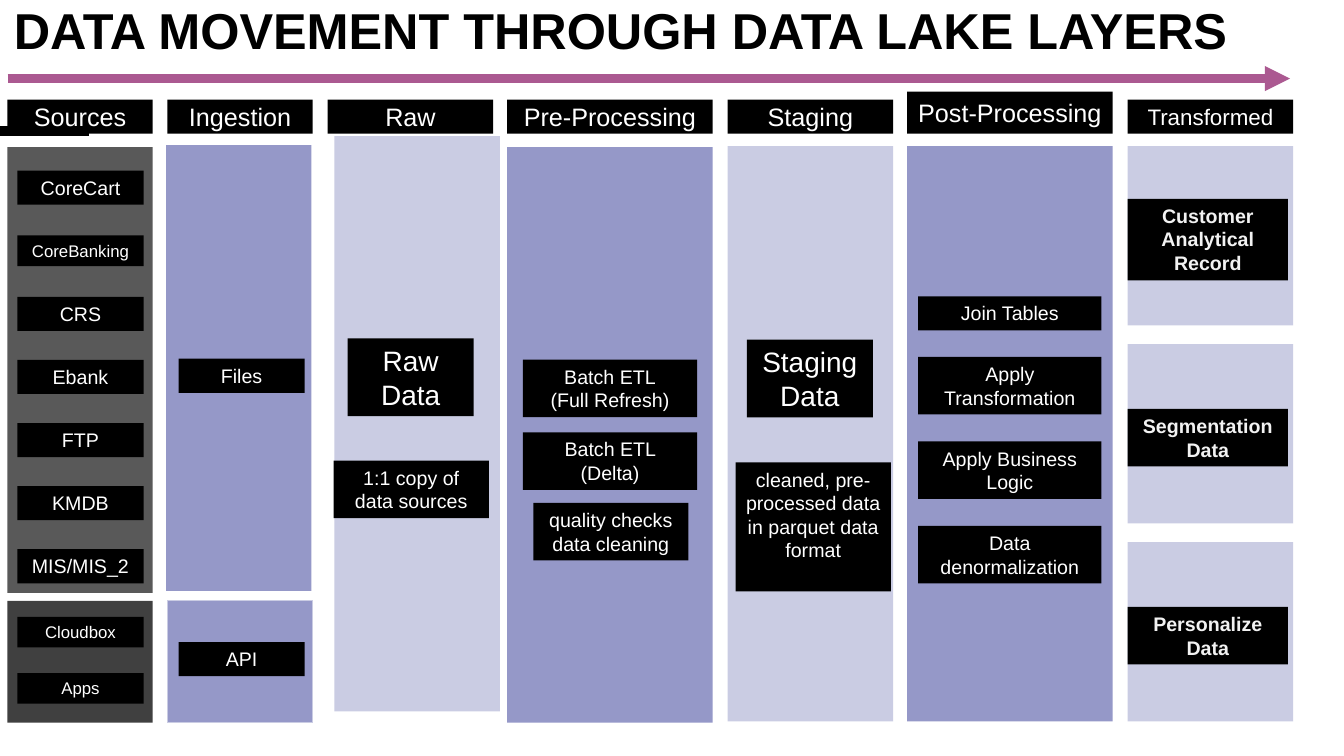
from lxml import etree
from pptx import Presentation
from pptx.dml.color import RGBColor
from pptx.enum.shapes import MSO_CONNECTOR, MSO_SHAPE
from pptx.enum.text import MSO_ANCHOR, MSO_AUTO_SIZE, PP_ALIGN
from pptx.oxml.ns import qn
from pptx.util import Cm, Pt

RECT = MSO_SHAPE.RECTANGLE
LINE = MSO_CONNECTOR.STRAIGHT
TOP, MIDDLE = MSO_ANCHOR.TOP, MSO_ANCHOR.MIDDLE
LEFT, CENTER = PP_ALIGN.LEFT, PP_ALIGN.CENTER
GROW = MSO_AUTO_SIZE.SHAPE_TO_FIT_TEXT

COLORS = {
    "black": "000000", "white": "FFFFFF", "pale": "F2F2F2",
    "gray": "595959", "dark": "404040", "blue": "9598C8",
    "light": "CACCE3", "plum": "AB5991",
}
HEADS = [
    ("Sources", 0.19, 3.66), ("Ingestion", 4.22, 3.66),
    ("Raw", 8.26, 4.17), ("Pre-Processing", 12.78, 5.18),
    ("Staging", 18.34, 4.17), ("Post-Processing", 22.86, 5.18),
    ("Transformed", 28.42, 4.17),
]
FEEDS = ["CoreCart", "CoreBanking", "CRS", "Ebank", "FTP", "KMDB", "MIS/MIS_2"]
STEPS = ["Apply Transformation", "Apply Business Logic", "Data denormalization"]
GOALS = [("Customer Analytical Record", 2.06), ("Segmentation Data", 1.45),
         ("Personalize Data", 1.45)]


def color(name):
    """Return the named colour."""
    return RGBColor.from_string(COLORS[name])


def write(shape, text, size=14, ink="white", bold=False, align=CENTER,
          anchor=TOP, space=None):
    """Put formatted text in a shape, one paragraph for each line."""
    frame = shape.text_frame
    frame.word_wrap = True
    frame.vertical_anchor = anchor
    frame.text = text
    for para in frame.paragraphs:
        para.alignment = align
        para.line_spacing = space
        font = para.runs[0].font
        font.name, font.size, font.bold = "Arial", Pt(size), bold
        font.color.rgb = color(ink)


def block(slide, box, fill, edge=None):
    """Draw a flat rectangle."""
    shape = slide.shapes.add_shape(RECT, *map(Cm, box))
    shape.shadow.inherit = False
    shape.fill.solid()
    shape.fill.fore_color.rgb = color(fill)
    if edge:
        shape.line.color.rgb = color(edge)
        shape.line.width = Pt(0.5)
    else:
        shape.line.fill.background()
    return shape


def rule(slide, start, end, top, ink, width, head=False):
    """Draw a level line, with an arrowhead if asked."""
    line = slide.shapes.add_connector(LINE, Cm(start), Cm(top), Cm(end), Cm(top))
    line.line.color.rgb = color(ink)
    line.line.width = Pt(width)
    if head:
        etree.SubElement(line.line._get_or_add_ln(), qn("a:tailEnd"), type="triangle")
    etree.SubElement(line._element.spPr, qn("a:effectLst"))


def panel(slide, box, fill, tags, edge=None):
    """Draw a panel and its tags, each given by text, inset, middle and size."""
    block(slide, box, fill, edge)
    left, top = box[:2]
    for text, inset, mid, width, height, style in tags:
        spot = (left + inset, top + mid - height / 2, width, height)
        shape = block(slide, spot, "black")
        write(shape, text, **style)
        shape.text_frame.auto_size = GROW


def title(slide, box):
    """Write the slide title."""
    shape = slide.shapes.add_textbox(*map(Cm, box))
    write(shape, "DATA MOVEMENT THROUGH DATA LAKE LAYERS", size=36,
          ink="black", bold=True, align=LEFT, space=0.85)
    shape.text_frame.margin_top = Cm(0.25)


def heads(slide, top, height):
    """Draw the row of column headings."""
    for name, left, width in HEADS:
        rise = 0.2 if name == "Post-Processing" else 0
        shape = block(slide, (left, top - rise, width, height + rise), "black")
        write(shape, name, size=16 if name == "Transformed" else 18, anchor=MIDDLE)


def sources(slide, left):
    """Draw the source systems."""
    small = {"size": 12}
    tags = []
    for i, name in enumerate(FEEDS):
        tight = name == "CoreBanking"
        tags.append((name, 0.25, 1.02 + 1.59 * i, 3.18,
                     0.77 if tight else 0.86, small if tight else {}))
    panel(slide, (left, 3.71, 3.66, 11.23), "gray", tags)
    apps = [(name, 0.25, 0.79 + 1.42 * i, 3.18, 0.77, small)
            for i, name in enumerate(["Cloudbox", "Apps"])]
    panel(slide, (left, 15.14, 3.66, 3.07), "dark", apps)


def intake(slide, left):
    """Draw the file and API intake."""
    panel(slide, (left, 3.66, 3.66, 11.23), "blue",
          [("Files", 0.31, 5.81, 3.18, 0.86, {"anchor": MIDDLE})])
    panel(slide, (left + 0.03, 15.14, 3.66, 3.07), "blue",
          [("API", 0.28, 1.47, 3.18, 0.86, {})], "light")


def layers(slide):
    """Draw the raw, pre-processing, staging and post-processing layers."""
    big = {"size": 20}
    panel(slide, (8.43, 3.43, 4.17, 14.5), "light", [
        ("Raw Data", 0.33, 6.08, 3.18, 1.96, big),
        ("1:1 copy of data sources", -0.02, 8.9, 3.91, 1.45, {})])
    panel(slide, (12.78, 3.71, 5.18, 14.5), "blue", [
        ("Batch ETL\n(Full Refresh)", 0.4, 6.08, 4.39, 1.45, {}),
        ("Batch ETL (Delta)", 0.4, 7.91, 4.39, 1.45, {}),
        ("quality checks\ndata cleaning", 0.66, 9.69, 3.91, 1.45, {})])
    panel(slide, (18.34, 3.68, 4.17, 14.5), "light", [
        ("Staging\nData", 0.48, 5.86, 3.18, 1.96, big),
        ("cleaned, pre-processed data in parquet data format",
         0.2, 9.6, 3.91, 3.25, {})])
    steps = [(name, 0.28, 6.04 + 2.13 * i, 4.62, 1.45, {})
             for i, name in enumerate(STEPS)]
    panel(slide, (22.86, 3.68, 5.18, 14.5), "blue",
          [("Join Tables", 0.28, 4.22, 4.62, 0.86, {})] + steps)


def goals(slide, left, top):
    """Draw the transformed data sets."""
    style = {"ink": "pale", "bold": True}
    for i, (name, height) in enumerate(GOALS):
        panel(slide, (left, top + 4.99 * i, 4.17, 4.52), "light",
              [(name, 0, 2.36, 4.04, height, style)])


def main():
    """Build and save the slide."""
    deck = Presentation()
    deck.slide_width, deck.slide_height = Cm(33.87), Cm(19.05)
    slide = deck.slides.add_slide(deck.slide_layouts[6])
    rule(slide, 0, 2.24, 3.3, "black", 6.75)
    heads(slide, 2.51, 0.86)
    sources(slide, 0.19)
    intake(slide, 4.19)
    layers(slide)
    goals(slide, 28.42, 3.68)
    rule(slide, 0.19, 32.51, 1.98, "plum", 6, head=True)
    title(slide, (0.1, -0.05, 34.21, 1.3))
    deck.save("out.pptx")


if __name__ == "__main__":
    main()
